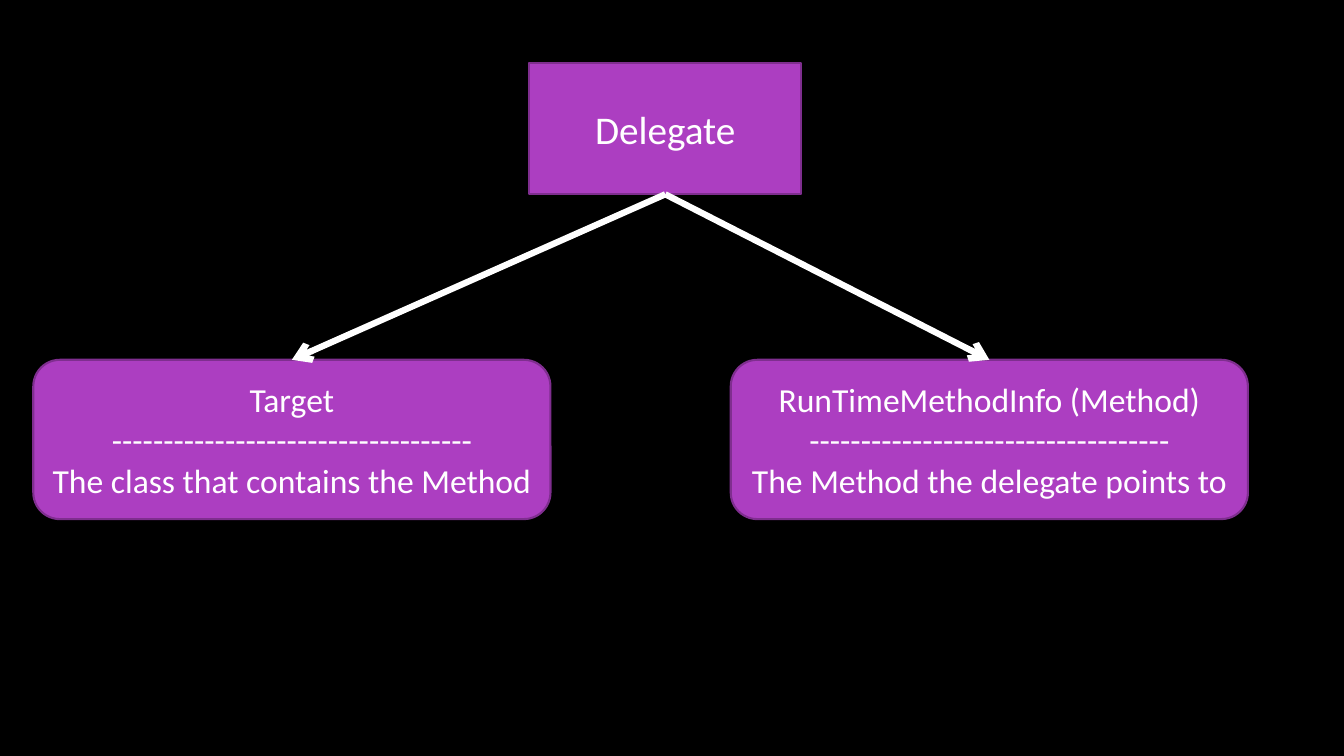
from lxml import etree
from pptx import Presentation
from pptx.dml.color import RGBColor
from pptx.enum import shapes, text
from pptx.oxml.ns import qn
from pptx.util import Pt

COLORS = {"background": "000000", "fill": "AC3EC1", "border": "7F2E8F", "light": "FFFFFF"}
FONT = "Calibri"
DIVIDER = "-----------------------------------"
DELEGATE = ["Delegate"]
PARTS = [
    (522, ["RunTimeMethodInfo (Method)", DIVIDER, "The Method the delegate points to"]),
    (23.8, ["Target", DIVIDER, "The class that contains the Method"]),
]
DELEGATE_BOX = (378, 45.2, 194.4, 93.6)
PART_TOP, PART_WIDTH, PART_HEIGHT = 257, 369.4, 113.8


def color(name):
    return RGBColor.from_string(COLORS[name])


def add_box(slide, preset, box, lines, size):
    node = slide.shapes.add_shape(preset, *map(Pt, box))
    node.shadow.inherit = False
    node.fill.solid()
    node.fill.fore_color.rgb = color("fill")
    node.line.color.rgb = color("border")
    node.line.width = Pt(1.5)
    frame = node.text_frame
    frame.word_wrap = True
    frame.vertical_anchor = text.MSO_ANCHOR.MIDDLE
    frame.text = "\n".join(lines)
    for paragraph in frame.paragraphs:
        paragraph.alignment = text.PP_ALIGN.CENTER
        paragraph.font.name = FONT
        paragraph.font.size = Pt(size)
        paragraph.font.color.rgb = color("light")
    return node


def add_arrow(slide, source, target):
    arrow = slide.shapes.add_connector(shapes.MSO_CONNECTOR.STRAIGHT, 0, 0, 0, 0)
    arrow.begin_connect(source, 2)
    arrow.end_connect(target, 0)
    arrow.line.color.rgb = color("light")
    arrow.line.width = Pt(4.5)
    properties = arrow.element.spPr
    etree.SubElement(properties.find(qn("a:ln")), qn("a:tailEnd"), type="arrow")
    etree.SubElement(properties, qn("a:effectLst"))


def main():
    deck = Presentation()
    deck.slide_width, deck.slide_height = Pt(960), Pt(540)
    slide = deck.slides.add_slide(deck.slide_layouts[6])
    slide.background.fill.solid()
    slide.background.fill.fore_color.rgb = color("background")

    delegate = add_box(slide, shapes.MSO_SHAPE.RECTANGLE, DELEGATE_BOX, DELEGATE, 28)
    parts = [
        add_box(slide, shapes.MSO_SHAPE.ROUNDED_RECTANGLE,
                (left, PART_TOP, PART_WIDTH, PART_HEIGHT), lines, 24)
        for left, lines in PARTS
    ]
    for part in parts:
        add_arrow(slide, delegate, part)
    deck.save("out.pptx")


if __name__ == "__main__":
    main()
